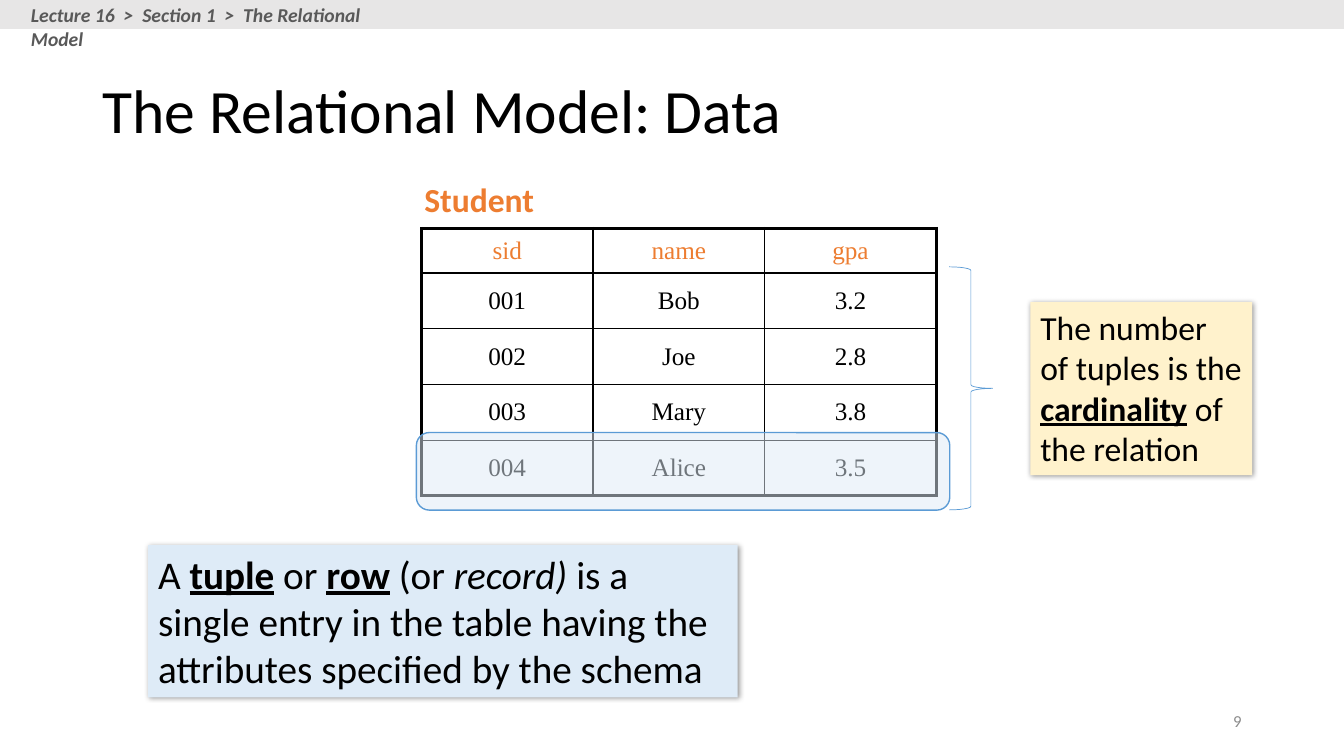
from dataclasses import dataclass

from lxml import etree
from pptx import Presentation
from pptx.dml.color import RGBColor
from pptx.enum.shapes import MSO_SHAPE
from pptx.enum.text import MSO_ANCHOR, MSO_AUTO_SIZE, PP_ALIGN
from pptx.oxml.ns import qn
from pptx.util import Pt

RECT, ROUND, BRACE = MSO_SHAPE.RECTANGLE, MSO_SHAPE.ROUNDED_RECTANGLE, MSO_SHAPE.LEFT_BRACE
LEFT, CENTER, RIGHT = PP_ALIGN.LEFT, PP_ALIGN.CENTER, PP_ALIGN.RIGHT
TOP, MIDDLE = MSO_ANCHOR.TOP, MSO_ANCHOR.MIDDLE
FIXED = MSO_AUTO_SIZE.NONE


@dataclass(frozen=True)
class Theme:
    """Colours, fonts and type sizes of the deck."""
    ink: str = "000000"
    accent: str = "ED7D31"
    blue: str = "5B9BD5"
    pale: str = "DEEBF7"
    cream: str = "FFF2CC"
    band: str = "E7E6E6"
    crumb: str = "595959"
    mute: str = "8C8C8C"
    sans: str = "Calibri"
    serif: str = "Times New Roman"
    head: float = 44
    large: float = 28
    mid: float = 24
    cell: float = 18
    small: float = 14
    tiny: float = 12
    thick: float = 2.25
    thin: float = 1


class Painter:
    """Draws styled elements on one slide, with lengths in points."""

    def __init__(self, slide, theme):
        """Keep the slide and its theme."""
        self.slide, self.theme = slide, theme

    def text(self, frame, runs, size, color=None, align=LEFT, font=None, bold=None, slant=None):
        """Fill a text frame with one paragraph of (text, marks) runs."""
        para = frame.paragraphs[0]
        para.alignment = align
        face = para.font
        face.size, face.name = Pt(size), font or self.theme.sans
        face.color.rgb = RGBColor.from_string(color or self.theme.ink)
        face.bold, face.italic = bold, slant
        for words, marks in runs:
            run = para.add_run()
            run.text = words
            if "b" in marks:
                run.font.bold = run.font.underline = True
            if "i" in marks:
                run.font.italic = True
        return para

    def title(self, words, box):
        """Place and fill the title placeholder."""
        shape = self.slide.shapes.title
        shape.left, shape.top, shape.width, shape.height = map(Pt, box)
        frame = shape.text_frame
        frame.auto_size, frame.vertical_anchor = FIXED, MIDDLE
        self.text(frame, [(words, "")], self.theme.head).line_spacing = 0.9

    def label(self, words, box, size, color, wrap=True, anchor=TOP, **style):
        """Add a plain text box."""
        frame = self.slide.shapes.add_textbox(*map(Pt, box)).text_frame
        frame.word_wrap, frame.vertical_anchor = wrap, anchor
        self.text(frame, [(words, "")], size, color, **style)

    def shape(self, kind, box, fill=None, line=None, width=1, alpha=None):
        """Add a preset shape with the given fill and outline."""
        shape = self.slide.shapes.add_shape(kind, *map(Pt, box))
        shape.shadow.inherit = False
        if fill:
            shape.fill.solid()
            shape.fill.fore_color.rgb = RGBColor.from_string(fill)
        else:
            shape.fill.background()
        if line:
            shape.line.color.rgb = RGBColor.from_string(line)
            shape.line.width = Pt(width)
        else:
            shape.line.fill.background()
        if alpha:
            solid = shape._element.spPr.find(qn("a:solidFill"))
            etree.SubElement(solid[0], qn("a:alpha"), val=str(alpha * 1000))
        return shape

    def note(self, runs, box, fill, size):
        """Add a filled note with a soft shadow."""
        shape = self.shape(RECT, box, fill)
        frame = shape.text_frame
        frame.word_wrap, frame.vertical_anchor = True, TOP
        self.text(frame, runs, size)
        glow = etree.SubElement(
            shape._element.spPr.find(qn("a:effectLst")), qn("a:outerShdw"),
            blurRad=str(Pt(4)), dist=str(Pt(1)), dir=str(45 * 60000), rotWithShape="0")
        tint = etree.SubElement(glow, qn("a:srgbClr"), val=self.theme.ink)
        etree.SubElement(tint, qn("a:alpha"), val="40000")

    def edges(self, cell, widths):
        """Rule the left, right, top and bottom edges of a cell."""
        props = cell._tc.get_or_add_tcPr()
        for spot, (side, width) in enumerate(zip("LRTB", widths)):
            line = etree.Element(qn("a:ln" + side), w=str(Pt(width)))
            fill = etree.SubElement(line, qn("a:solidFill"))
            etree.SubElement(fill, qn("a:srgbClr"), val=self.theme.ink)
            props.insert(spot, line)

    def table(self, rows, spot, wide, highs):
        """Add a ruled table with a heavy frame and header line."""
        look = self.theme
        count, span = len(rows), len(rows[0])
        grid = self.slide.shapes.add_table(
            count, span, *map(Pt, (*spot, wide * span, sum(highs)))).table
        grid.first_row = grid.horz_banding = False
        for col in grid.columns:
            col.width = Pt(wide)
        for r, (row, high) in enumerate(zip(rows, highs)):
            grid.rows[r].height = Pt(high)
            for c, words in enumerate(row):
                cell = grid.cell(r, c)
                cell.fill.background()
                cell.vertical_anchor = MIDDLE
                color = look.ink if r else look.accent
                para = self.text(cell.text_frame, [(words, "")], look.cell, color,
                                 CENTER, look.serif)
                para.space_before = Pt(look.cell * 0.2)
                heavy = (c == 0, c == span - 1, r < 2, r in (0, count - 1))
                self.edges(cell, [look.thick if h else look.thin for h in heavy])


def main():
    """Build the slide and save it."""
    deck = Presentation()
    deck.slide_width, deck.slide_height = Pt(960), Pt(540)
    look = Theme()
    pen = Painter(deck.slides.add_slide(deck.slide_layouts[5]), look)

    pen.label("9", (678, 500.4, 216, 28.8), look.tiny, look.mute, anchor=MIDDLE, align=RIGHT)
    pen.title("The Relational Model: Data", (66, 28.8, 828, 104.4))
    students = [
        ("sid", "name", "gpa"),
        ("001", "Bob", "3.2"),
        ("002", "Joe", "2.8"),
        ("003", "Mary", "3.8"),
        ("004", "Alice", "3.5"),
    ]
    pen.table(students, (301, 163), 122.6, [32] + [39.8] * 4)
    pen.label("Student", (296, 124, 94, 36), look.mid, look.accent, wrap=False, bold=True)
    brace = pen.shape(BRACE, (678, 190.6, 31, 173.6), line=look.blue, width=0.5)
    brace.rotation = 180
    pen.shape(ROUND, (297.4, 309, 381, 55.4), look.pale, look.blue, alpha=50)
    pen.note([("A ", ""), ("tuple", "b"), (" or ", ""), ("row", "b"), (" (or ", ""),
              ("record) ", "i"),
              ("is a single entry in the table having the attributes specified by the schema", "")],
             (105.8, 389.4, 421.2, 108.8), look.pale, look.large)
    pen.note([("The number of tuples is the ", ""), ("cardinality", "b"),
              (" of the relation", "")],
             (736, 215.8, 158.4, 123.6), look.cream, look.mid)
    pen.shape(RECT, (0, 0, 960, 20.6), look.band)
    pen.label("Lecture 16  >  Section 1  >  The Relational Model", (15, -1.4, 285, 24.4),
              look.small, look.crumb, bold=True, slant=True)
    deck.save("out.pptx")


if __name__ == "__main__":
    main()
